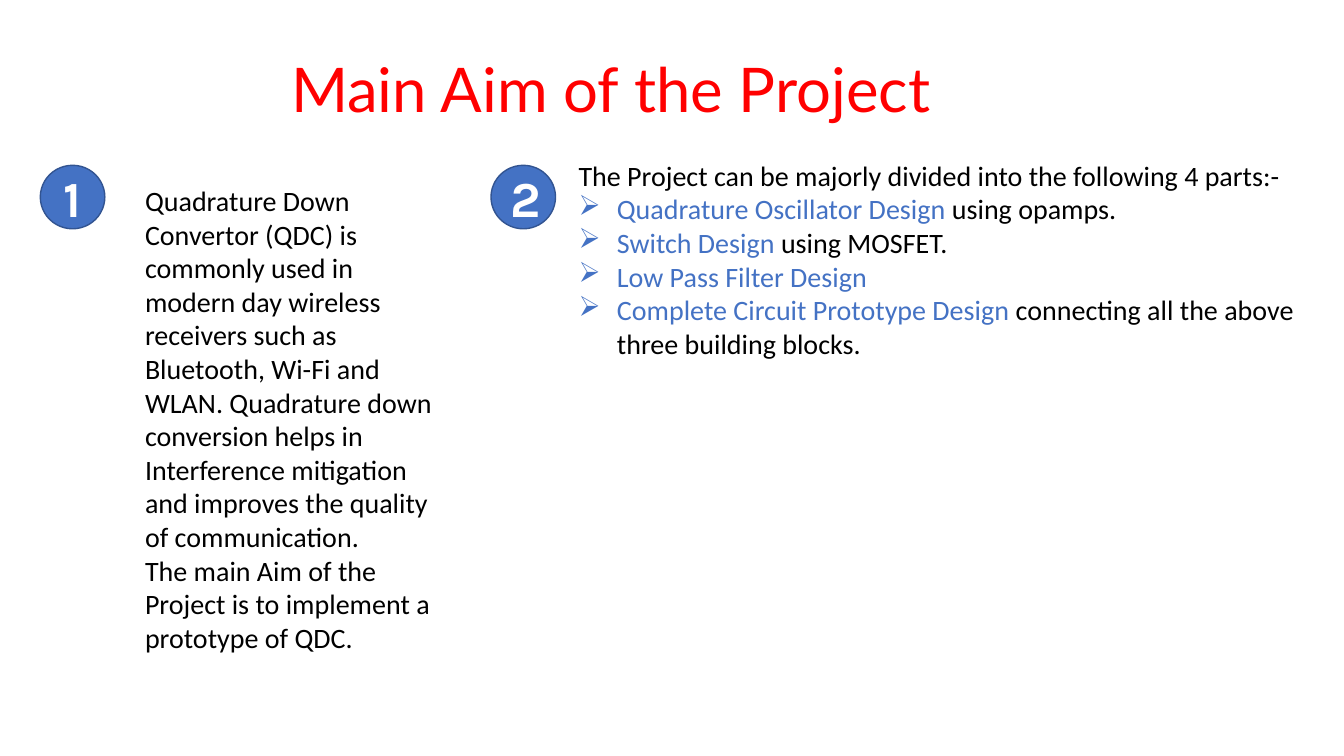
from lxml import etree
from pptx import Presentation
from pptx import util as u
from pptx.dml.color import RGBColor
from pptx.enum import shapes, text
from pptx.oxml import ns

COLORS = {"red": "FF0000", "blue": "4472C4", "edge": "325491",
          "black": "000000", "white": "FFFFFF"}

AIM = [
    "Quadrature Down Convertor (QDC) is commonly used in modern day wireless "
    "receivers such as Bluetooth, Wi-Fi and WLAN. Quadrature down conversion "
    "helps in Interference mitigation and improves the quality of communication.",
    "The main Aim of the Project is to implement a prototype of QDC.",
]
INTRO = "The Project can be majorly divided into the following 4 parts:-"
PARTS = [
    ("Quadrature Oscillator Design ", "using opamps."),
    ("Switch Design ", "using MOSFET."),
    ("Low Pass Filter Design", ""),
    ("Complete Circuit Prototype Design ",
     "connecting all the above three building blocks."),
]


def color(name):
    return RGBColor.from_string(COLORS[name])


def style(para, face, size, tint="black"):
    para.font.name = face
    para.font.size = u.Pt(size)
    para.font.color.rgb = color(tint)


def add_box(slide, left, top, width, height):
    box = slide.shapes.add_textbox(*map(u.Inches, (left, top, width, height)))
    box.text_frame.word_wrap = True
    return box.text_frame


def add_title(slide, words):
    frame = add_box(slide, 0.31, 0.19, 11.5, 1.45)
    frame.vertical_anchor = text.MSO_ANCHOR.MIDDLE
    para = frame.paragraphs[0]
    para.text = words
    para.alignment = text.PP_ALIGN.CENTER
    para.line_spacing = 0.9
    style(para, "Lato", 44, "red")


def add_badge(slide, left, label):
    disc = slide.shapes.add_shape(
        shapes.MSO_SHAPE.OVAL, *map(u.Inches, (left, 1.64, 0.64, 0.63)))
    disc.shadow.inherit = False
    disc.fill.solid()
    disc.fill.fore_color.rgb = color("blue")
    disc.line.color.rgb = color("edge")
    disc.line.width = u.Pt(1)
    frame = disc.text_frame
    frame.vertical_anchor = text.MSO_ANCHOR.MIDDLE
    para = frame.paragraphs[0]
    para.text = label
    para.alignment = text.PP_ALIGN.CENTER
    style(para, "Karla", 36, "white")
    para.font.bold = True


def add_body(slide, spot, lines):
    frame = add_box(slide, *spot)
    frame.auto_size = text.MSO_AUTO_SIZE.SHAPE_TO_FIT_TEXT
    for i, line in enumerate(lines):
        para = frame.paragraphs[0] if i == 0 else frame.add_paragraph()
        para.text = line
        style(para, "Calibri", 20)
    return frame


def add_bullet(frame, lead, rest):
    para = frame.add_paragraph()
    style(para, "Calibri", 20)
    # Hanging indent and arrow bullet
    props = para._p.get_or_add_pPr()
    props.set("marL", str(u.Inches(0.38)))
    props.set("indent", str(u.Inches(-0.38)))
    mark = etree.Element(ns.qn("a:buChar"), char="➢")
    props.insert_element_before(mark, "a:tabLst", "a:defRPr", "a:extLst")
    # Blue lead, black remainder
    for words, tint in ((lead, "blue"), (rest, "black")):
        if words:
            run = para.add_run()
            run.text = words
            run.font.name = "Calibri"
            run.font.size = u.Pt(20)
            run.font.color.rgb = color(tint)


def main():
    deck = Presentation()
    deck.slide_width, deck.slide_height = u.Inches(13.33), u.Inches(7.5)
    slide = deck.slides.add_slide(deck.slide_layouts[6])

    # Heading and numbered badges
    add_title(slide, "Main Aim of the Project")
    for left, label in ((0.4, "1"), (4.87, "2")):
        add_badge(slide, left, label)

    # Aim on the left, parts of the project on the right
    add_body(slide, (1.34, 1.77, 3.16, 4.81), AIM)
    frame = add_body(slide, (5.64, 1.52, 7.38, 2.12), [INTRO])
    for lead, rest in PARTS:
        add_bullet(frame, lead, rest)

    deck.save("out.pptx")


if __name__ == "__main__":
    main()
